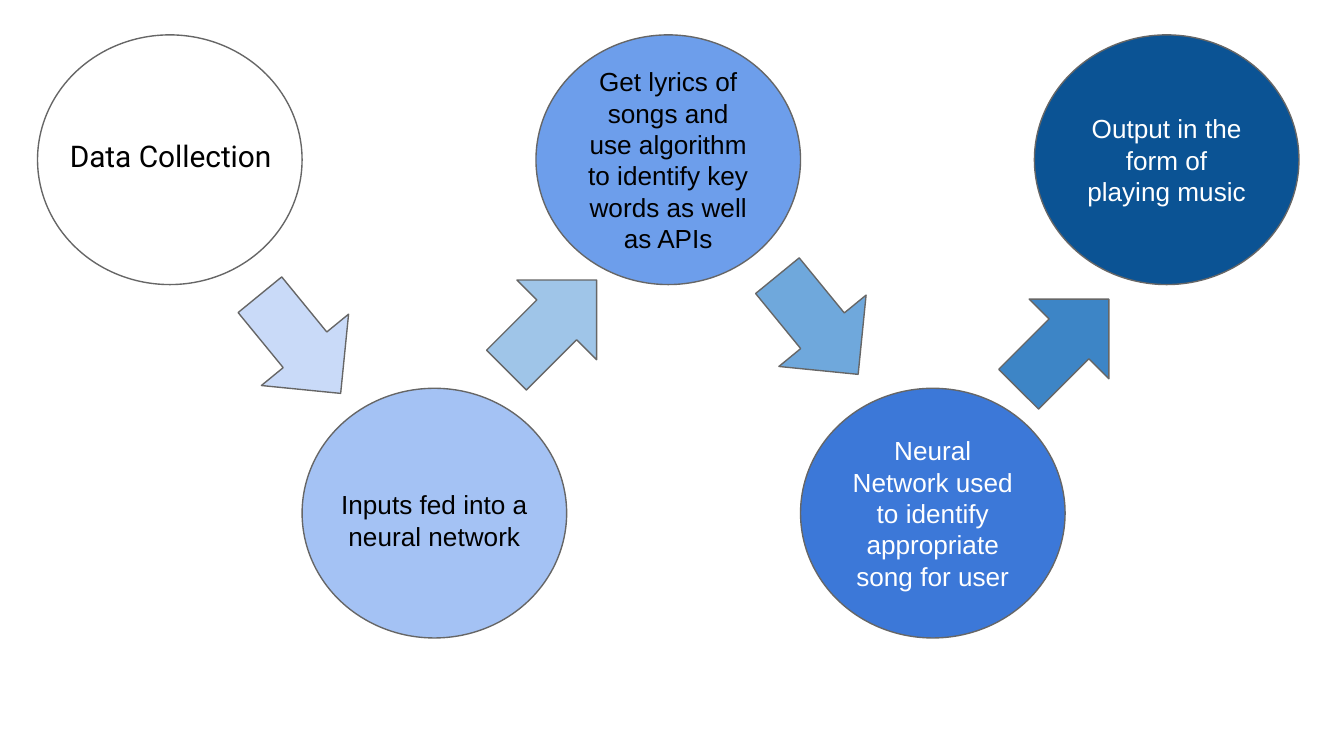
from dataclasses import dataclass
from typing import NamedTuple

from pptx import Presentation
from pptx import util as u
from pptx.dml.color import RGBColor
from pptx.enum import shapes, text


@dataclass(frozen=True)
class Theme:
    outline: str = "666666"
    dark: str = "000000"
    light: str = "FFFFFF"
    body_font: str = "Arial"
    start_font: str = "Roboto"
    body_size: int = 14
    start_size: int = 16
    line_width: float = 0.75
    inset: float = 0.25
    stage_fills: tuple = ("FFFFFF", "A4C2F4", "6D9EEB", "3C78D8", "0B5394")
    arrow_fills: tuple = ("C9DAF8", "9FC5E8", "6FA8DC", "3D85C6")


class Box(NamedTuple):
    left: float
    top: float
    width: float
    height: float


@dataclass(frozen=True)
class Label:
    wording: str
    color: str
    size: int
    font: str
    align: text.PP_ALIGN = text.PP_ALIGN.CENTER
    anchor: text.MSO_ANCHOR = text.MSO_ANCHOR.MIDDLE


class Arrow(NamedTuple):
    left: float
    top: float
    rotation: float


THEME = Theme()
DIAMETERS = (5.0, 4.72)
ROW_TOPS = (0.66, 7.34)
FIRST_LEFT, PAIR_STEP, ROW_SHIFT = 0.71, 9.42, 5.0
ARROW_SIZE = (2.41, 2.13)
DOWN, UP = 50.7, 315

STAGE_LABELS = {
    2: ("Get lyrics of songs and use algorithm to identify key words as well as APIs", THEME.dark),
    3: ("Neural Network used to identify appropriate song for user", THEME.light),
    4: ("Output in the form of playing music", THEME.light),
}
ARROWS = (
    Arrow(4.47, 5.44, DOWN),
    Arrow(9.22, 5.08, UP),
    Arrow(14.25, 5.08, DOWN),
    Arrow(18.9, 5.44, UP),
)
CAPTIONS = (
    (Box(1.07, 2.36, 4.37, 1.3),
     Label("Data Collection", THEME.dark, THEME.start_size, THEME.start_font,
           text.PP_ALIGN.LEFT, text.MSO_ANCHOR.TOP)),
    (Box(5.71, 8.99, 5.0, 1.52),
     Label("Inputs fed into a neural network", THEME.dark, THEME.body_size, THEME.body_font,
           anchor=text.MSO_ANCHOR.TOP)),
)


def stage_box(index: int) -> Box:
    pair, row = divmod(index, 2)
    return Box(FIRST_LEFT + pair * PAIR_STEP + row * ROW_SHIFT, ROW_TOPS[row], *DIAMETERS)


def draw_shape(page, kind: shapes.MSO_SHAPE, box: Box, fill: str):
    shape = page.shapes.add_shape(kind, *map(u.Cm, box))
    shape.shadow.inherit = False
    shape.fill.solid()
    shape.fill.fore_color.rgb = RGBColor.from_string(fill)
    shape.line.color.rgb = RGBColor.from_string(THEME.outline)
    shape.line.width = u.Pt(THEME.line_width)
    return shape


def write_label(shape, label: Label) -> None:
    frame = shape.text_frame
    frame.text = label.wording
    frame.word_wrap = True
    frame.vertical_anchor = label.anchor
    frame.margin_left = frame.margin_right = u.Cm(THEME.inset)
    frame.margin_top = frame.margin_bottom = u.Cm(THEME.inset)
    para = frame.paragraphs[0]
    para.alignment = label.align
    for span in para.runs:
        span.font.name = label.font
        span.font.size = u.Pt(label.size)
        span.font.color.rgb = RGBColor.from_string(label.color)


def main() -> None:
    deck = Presentation()
    deck.slide_width, deck.slide_height = u.Cm(25.4), u.Cm(14.29)
    page = deck.slides.add_slide(deck.slide_layouts[6])

    for index, fill in enumerate(THEME.stage_fills):
        circle = draw_shape(page, shapes.MSO_SHAPE.OVAL, stage_box(index), fill)
        if index in STAGE_LABELS:
            wording, color = STAGE_LABELS[index]
            write_label(circle, Label(wording, color, THEME.body_size, THEME.body_font))

    for arrow, fill in zip(ARROWS, THEME.arrow_fills):
        box = Box(arrow.left, arrow.top, *ARROW_SIZE)
        draw_shape(page, shapes.MSO_SHAPE.RIGHT_ARROW, box, fill).rotation = arrow.rotation

    for box, label in CAPTIONS:
        write_label(page.shapes.add_textbox(*map(u.Cm, box)), label)

    deck.save("out.pptx")


if __name__ == "__main__":
    main()
